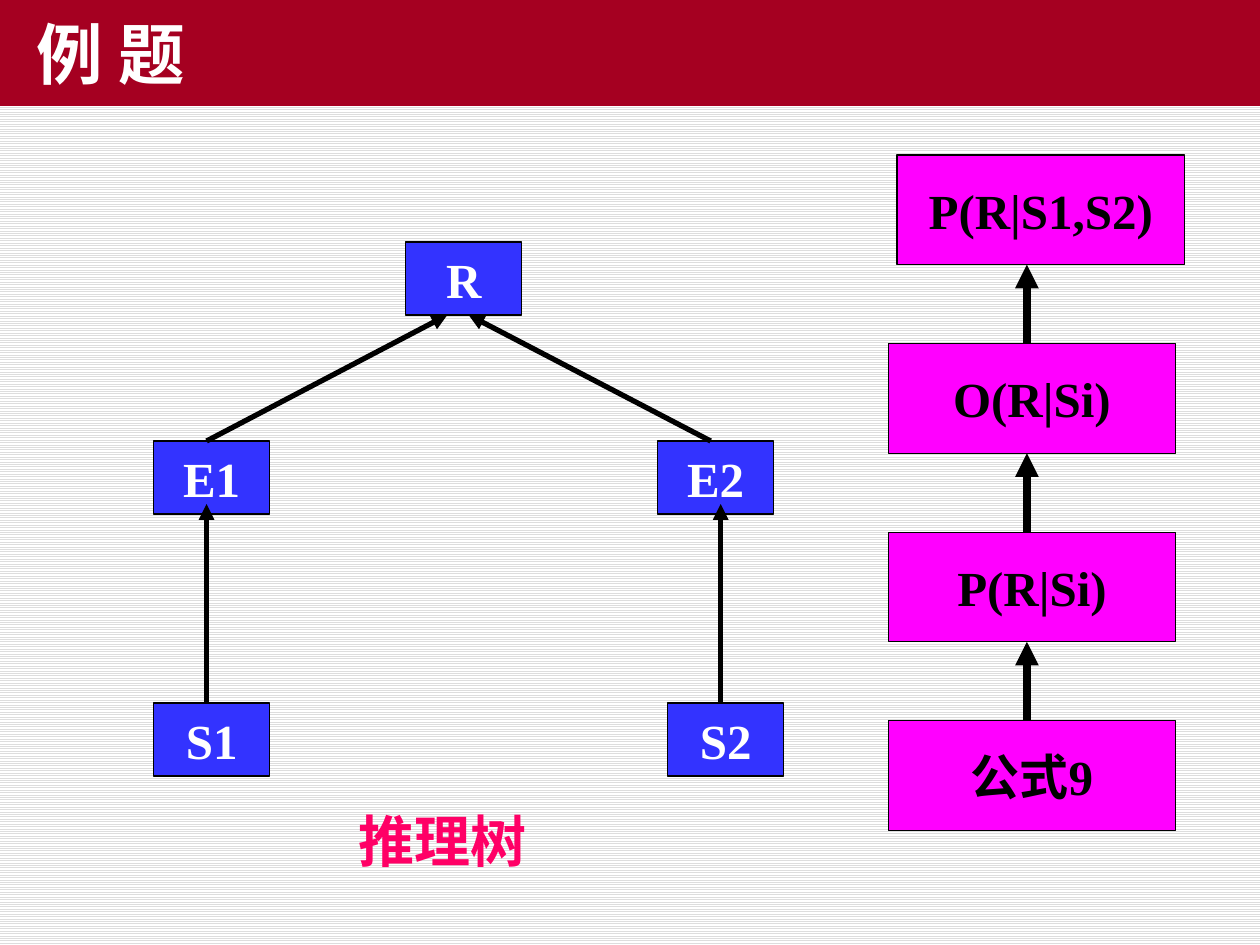
from dataclasses import dataclass

from lxml.etree import SubElement
from pptx import Presentation
from pptx.dml.color import RGBColor
from pptx.enum.dml import MSO_PATTERN
from pptx.enum.shapes import MSO_CONNECTOR, MSO_SHAPE
from pptx.enum.text import MSO_ANCHOR, MSO_AUTO_SIZE, PP_ALIGN
from pptx.oxml.ns import qn
from pptx.util import Inches, Pt

TITLE = "例 题"
CAPTION = "推理树"

# Tree boxes: text, left, row
TREE = [("R", 3.22, 0), ("E1", 1.22, 1), ("S1", 1.22, 2), ("E2", 5.22, 1), ("S2", 5.3, 2)]
TREE_ROWS = (1.92, 3.5, 5.58)
TREE_SIZE = (0.92, 0.58)
TREE_ARROWS = [
    ((1.64, TREE_ROWS[1]), (3.55, 2.5)),
    ((5.64, TREE_ROWS[1]), (3.72, 2.5)),
    ((1.64, TREE_ROWS[2]), (1.64, 4)),
    ((5.72, TREE_ROWS[2]), (5.72, 4)),
]

# Chain of formulas from top to bottom: text, left
CHAIN = [("P(R|S1,S2)", 7.12), ("O(R|Si)", 7.05), ("P(R|Si)", 7.05), ("公式9", 7.05)]
CHAIN_TOP, CHAIN_STEP, CHAIN_ARROW_X = 1.23, 1.497, 8.15
CHAIN_SIZE = (2.28, 0.87)


@dataclass(frozen=True)
class Theme:
    banner: str = "A50021"
    tree: str = "3333FF"
    chain: str = "FF00FF"
    caption: str = "FF0066"
    stripe: str = "DDDDDD"
    light: str = "FFFFFF"
    dark: str = "000000"
    heading_font: str = "Arial"
    box_font: str = "Times New Roman"
    title_size: float = 38
    caption_size: float = 32
    box_size: float = 28
    outline: float = 0.75
    tree_arrow: float = 3
    chain_arrow: float = 4.5


THEME = Theme()


def rgb(value):
    return RGBColor.from_string(value)


def write(shape, text, *, size, font, color, align=PP_ALIGN.CENTER, wrap=True,
          anchor=MSO_ANCHOR.MIDDLE):
    frame = shape.text_frame
    frame.auto_size = MSO_AUTO_SIZE.NONE
    frame.word_wrap = wrap
    frame.vertical_anchor = anchor
    para = frame.paragraphs[0]
    para.alignment = align
    span = para.add_run()
    span.text = text
    span.font.size = Pt(size)
    span.font.name = font
    span.font.bold = True
    span.font.color.rgb = rgb(color)
    return para


def add_box(page, text, left, top, size, fill, color):
    box = page.shapes.add_shape(MSO_SHAPE.RECTANGLE, *map(Inches, (left, top, *size)))
    box.shadow.inherit = False
    box.fill.solid()
    box.fill.fore_color.rgb = rgb(fill)
    box.line.color.rgb = rgb(THEME.dark)
    box.line.width = Pt(THEME.outline)
    write(box, text, size=THEME.box_size, font=THEME.box_font, color=color, wrap=False)


def add_arrow(page, start, end, width):
    arrow = page.shapes.add_connector(MSO_CONNECTOR.STRAIGHT, *map(Inches, (*start, *end)))
    arrow.line.color.rgb = rgb(THEME.dark)
    arrow.line.width = Pt(width)
    SubElement(arrow.line._get_or_add_ln(), qn("a:tailEnd"), type="triangle")
    SubElement(arrow._element.spPr, qn("a:effectLst"))


def add_title(page):
    title = page.shapes.title
    title.left, title.top, title.width, title.height = map(Inches, (0, 0, 10, 0.84))
    title.fill.solid()
    title.fill.fore_color.rgb = rgb(THEME.banner)
    para = write(title, TITLE, size=THEME.title_size, font=THEME.heading_font,
                 color=THEME.light, align=PP_ALIGN.LEFT)
    properties = para._p.get_or_add_pPr()
    properties.set("marL", "0")
    properties.set("indent", str(Inches(0.19)))


def add_tree(page):
    for text, left, row in TREE:
        add_box(page, text, left, TREE_ROWS[row], TREE_SIZE, THEME.tree, THEME.light)
    for start, end in TREE_ARROWS:
        add_arrow(page, start, end, THEME.tree_arrow)
    caption = page.shapes.add_textbox(*map(Inches, (2.01, 6.35, 3, 0.64)))
    write(caption, CAPTION, size=THEME.caption_size, font=THEME.heading_font,
          color=THEME.caption, anchor=MSO_ANCHOR.TOP)


def add_chain(page):
    for row, (text, left) in enumerate(CHAIN):
        top = CHAIN_TOP + row * CHAIN_STEP
        add_box(page, text, left, top, CHAIN_SIZE, THEME.chain, THEME.dark)
        if row:
            above = top - CHAIN_STEP + CHAIN_SIZE[1]
            add_arrow(page, (CHAIN_ARROW_X, top), (CHAIN_ARROW_X, above), THEME.chain_arrow)


def main():
    deck = Presentation()
    deck.slide_width, deck.slide_height = Inches(10), Inches(7.5)
    page = deck.slides.add_slide(deck.slide_layouts[5])
    backdrop = page.background.fill
    backdrop.patterned()
    backdrop.pattern = MSO_PATTERN.LIGHT_HORIZONTAL
    backdrop.fore_color.rgb = rgb(THEME.stripe)
    backdrop.back_color.rgb = rgb(THEME.light)
    add_title(page)
    add_tree(page)
    add_chain(page)
    deck.save("out.pptx")


if __name__ == "__main__":
    main()
